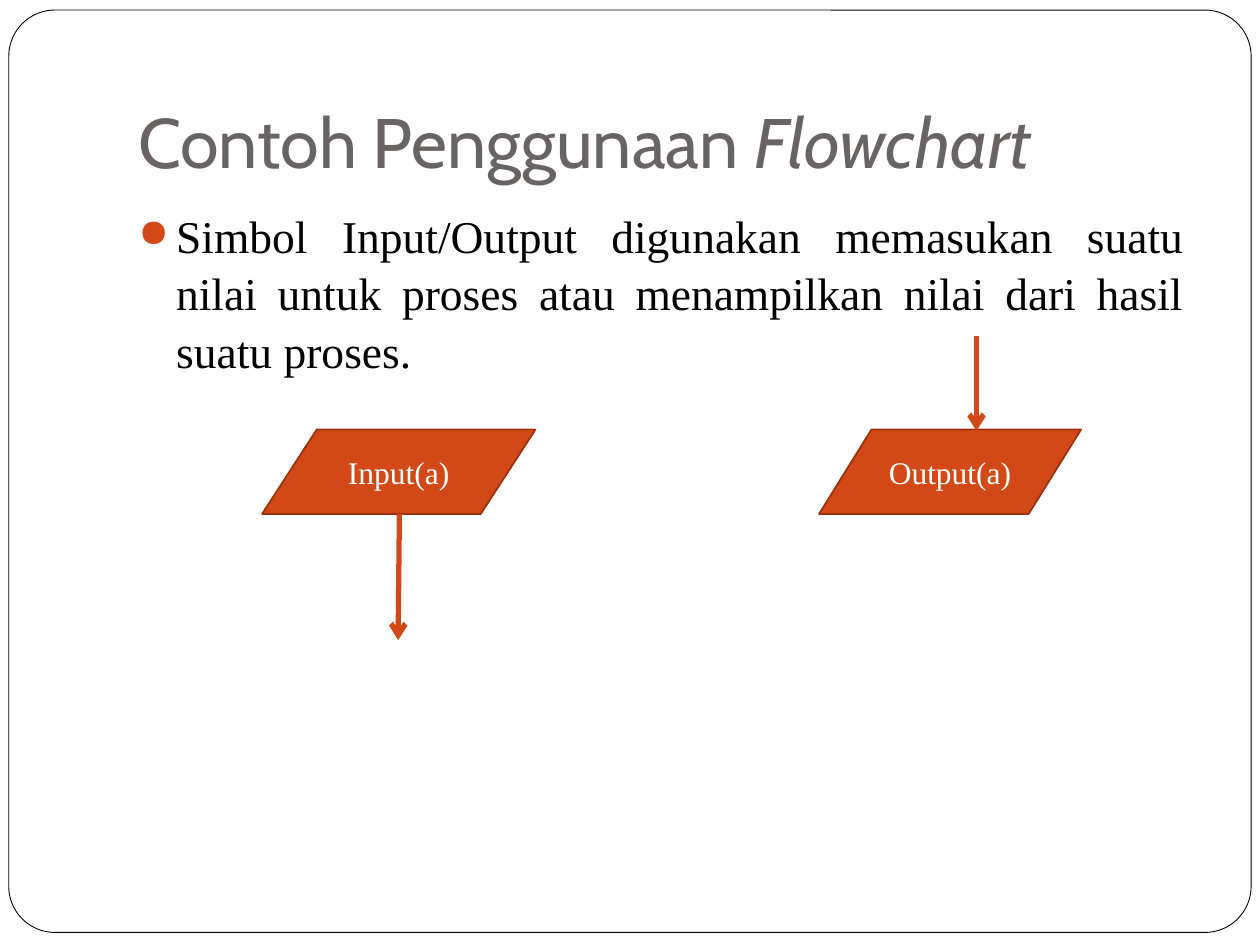
import dataclasses

import lxml.etree
import pptx
import pptx.dml.color
import pptx.enum.shapes
import pptx.enum.text
import pptx.oxml.ns
import pptx.util

Inches = pptx.util.Inches
Pt = pptx.util.Pt
Shape = pptx.enum.shapes.MSO_SHAPE
Align = pptx.enum.text.PP_ALIGN
Anchor = pptx.enum.text.MSO_ANCHOR


@dataclasses.dataclass(frozen=True)
class Theme:
    paper: str = "FFFFFF"
    ink: str = "000000"
    heading: str = "696464"
    accent: str = "D34817"
    accent_edge: str = "9B320E"
    heading_font: str = "Cabin"
    body_font: str = "Times New Roman"
    heading_size: int = 40
    body_size: int = 26
    label_size: int = 18


def color(value):
    return pptx.dml.color.RGBColor.from_string(value)


def add_xml(parent, tag, **attributes):
    return lxml.etree.SubElement(parent, pptx.oxml.ns.qn(tag), attributes)


class SlideBuilder:
    def __init__(self, slide, theme):
        self.slide = slide
        self.theme = theme

    def style_font(self, paragraph, name, size, value):
        paragraph.font.name = name
        paragraph.font.size = Pt(size)
        paragraph.font.color.rgb = color(value)

    def style_shape(self, shape, fill, edge, width):
        shape.shadow.inherit = False
        shape.fill.solid()
        shape.fill.fore_color.rgb = color(fill)
        shape.line.color.rgb = color(edge)
        shape.line.width = Pt(width)

    def frame(self, left, top, width, height):
        shape = self.slide.shapes.add_shape(
            Shape.ROUNDED_RECTANGLE, Inches(left), Inches(top), Inches(width), Inches(height))
        shape.adjustments[0] = 0.05
        self.style_shape(shape, self.theme.paper, self.theme.ink, 0.5)

    def text_box(self, left, top, width, height, anchor):
        box = self.slide.shapes.add_textbox(
            Inches(left), Inches(top), Inches(width), Inches(height))
        box.text_frame.word_wrap = True
        box.text_frame.vertical_anchor = anchor
        return box.text_frame

    def title(self, plain, emphasis, left, top, width, height):
        text_frame = self.text_box(left, top, width, height, Anchor.BOTTOM)
        text_frame.margin_bottom = Inches(0.1)
        paragraph = text_frame.paragraphs[0]
        self.style_font(paragraph, self.theme.heading_font,
                        self.theme.heading_size, self.theme.heading)
        paragraph.add_run().text = plain
        run = paragraph.add_run()
        run.text = emphasis
        run.font.italic = True

    def bullet(self, text, left, top, width, height):
        paragraph = self.text_box(left, top, width, height, Anchor.TOP).paragraphs[0]
        paragraph.text = text
        paragraph.alignment = Align.JUSTIFY
        paragraph.line_spacing = 1.05
        paragraph.space_before = Pt(5.8)
        self.style_font(paragraph, self.theme.body_font,
                        self.theme.body_size, self.theme.ink)
        properties = paragraph._p.get_or_add_pPr()
        properties.set("marL", str(Inches(0.3)))
        properties.set("indent", str(Inches(-0.3)))
        bullet_color = pptx.oxml.ns.qn("a:buClr")
        default_font = properties.find(pptx.oxml.ns.qn("a:defRPr"))
        marker = lxml.etree.Element(bullet_color)
        add_xml(marker, "a:srgbClr", val=self.theme.accent)
        size = lxml.etree.Element(pptx.oxml.ns.qn("a:buSzPct"), val="85000")
        character = lxml.etree.Element(pptx.oxml.ns.qn("a:buChar"), char="●")
        for element in (marker, size, character):
            default_font.addprevious(element)

    def data_symbol(self, group, text, left, top, width, height):
        shape = group.shapes.add_shape(
            Shape.FLOWCHART_DATA, Inches(left), Inches(top), Inches(width), Inches(height))
        self.style_shape(shape, self.theme.accent, self.theme.accent_edge, 1)
        shape.text_frame.vertical_anchor = Anchor.MIDDLE
        paragraph = shape.text_frame.paragraphs[0]
        paragraph.text = text
        paragraph.alignment = Align.CENTER
        self.style_font(paragraph, self.theme.body_font,
                        self.theme.label_size, self.theme.paper)

    def arrow(self, group, start, end):
        connector = group.shapes.add_connector(
            pptx.enum.shapes.MSO_CONNECTOR.STRAIGHT, *map(Inches, start + end))
        connector.line.color.rgb = color(self.theme.accent)
        connector.line.width = Pt(3)
        add_xml(connector.line._get_or_add_ln(), "a:tailEnd", type="arrow")
        add_xml(connector._element.spPr, "a:effectLst")


def main():
    presentation = pptx.Presentation()
    presentation.slide_width = Inches(10)
    presentation.slide_height = Inches(7.5)
    slide = presentation.slides.add_slide(presentation.slide_layouts[6])
    builder = SlideBuilder(slide, Theme())

    builder.frame(0.07, 0.08, 9.86, 7.32)
    builder.title("Contoh Penggunaan ", "Flowchart", 1, 0.3, 8.5, 1.25)
    builder.bullet(
        "Simbol Input/Output digunakan memasukan suatu nilai untuk proses "
        "atau menampilkan nilai dari hasil suatu proses.", 1, 1.58, 8.5, 5)

    symbol_top, symbol_height = 3.41, 0.67
    examples = (
        ("Input(a)", 2.08, 2.17, (3.17, 4.08), (3.16, 5.08)),
        ("Output(a)", 6.5, 2.08, (7.75, 2.67), (7.75, 3.42)),
    )
    for text, left, width, start, end in examples:
        group = slide.shapes.add_group_shape()
        builder.data_symbol(group, text, left, symbol_top, width, symbol_height)
        builder.arrow(group, start, end)

    presentation.save("out.pptx")


if __name__ == "__main__":
    main()
